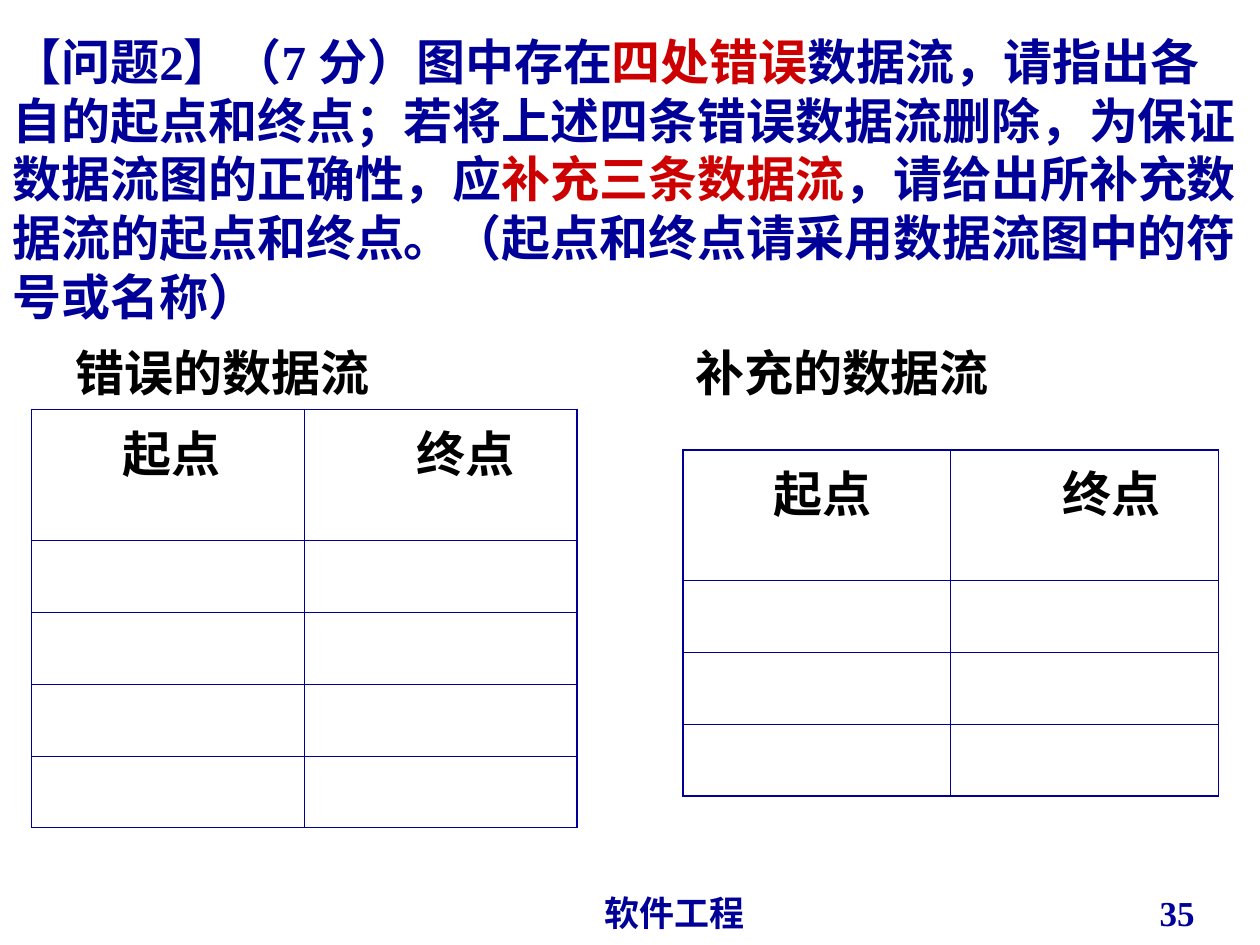
from dataclasses import dataclass
from lxml.etree import SubElement
from pptx import Presentation
from pptx.dml.color import RGBColor
from pptx.enum.text import MSO_ANCHOR as Anchor, MSO_AUTO_SIZE as AutoSize, PP_ALIGN as Align
from pptx.oxml.ns import qn
from pptx.util import Inches, Pt


@dataclass(frozen=True)
class Theme:
    """Colours, font and sizes of the slide."""
    font: str = "Times New Roman"
    navy: str = "000099"
    red: str = "CC0000"
    black: str = "000000"
    body: int = 28
    footer: int = 20
    space_before: int = 7
    outer_line: float = 1.08
    inner_line: float = 0.45


class SlideBuilder:
    """Draws styled elements on one slide."""

    def __init__(self, slide, theme):
        """Keep the slide and its theme."""
        self.slide = slide
        self.theme = theme

    def format_font(self, font, size, color):
        """Apply the theme font with a size and colour."""
        font.name = self.theme.font
        font.size = Pt(size)
        font.bold = True
        font.color.rgb = RGBColor.from_string(color)

    def title(self, left, top, width, height, pieces):
        """Place the title and fill it with coloured pieces of text."""
        shape = self.slide.shapes.title
        shape.left, shape.top = Inches(left), Inches(top)
        shape.width, shape.height = Inches(width), Inches(height)
        frame = shape.text_frame
        frame.word_wrap = True
        frame.auto_size = AutoSize.NONE
        frame.vertical_anchor = Anchor.MIDDLE
        paragraph = frame.paragraphs[0]
        paragraph.alignment = Align.LEFT
        for text, color in pieces:
            run = paragraph.add_run()
            run.text = text
            self.format_font(run.font, self.theme.body, color)

    def text(self, left, top, width, height, text, size, color,
             align=Align.LEFT, anchor=Anchor.TOP, space_before=0):
        """Add a text box with one paragraph."""
        shape = self.slide.shapes.add_textbox(
            Inches(left), Inches(top), Inches(width), Inches(height))
        frame = shape.text_frame
        frame.word_wrap = True
        frame.vertical_anchor = anchor
        paragraph = frame.paragraphs[0]
        paragraph.text = text
        paragraph.alignment = align
        paragraph.space_before = Pt(space_before)
        self.format_font(paragraph.font, size, color)

    def heading(self, left, top, width, height, text):
        """Add the heading above a table."""
        self.text(left, top, width, height, text, self.theme.body,
                  self.theme.black, space_before=self.theme.space_before)

    def footer(self, left, top, width, height, text, align):
        """Add a footer text that sits on the bottom of its box."""
        self.text(left, top, width, height, text, self.theme.footer,
                  self.theme.navy, align, Anchor.BOTTOM)

    def cell_borders(self, cell, outer_sides):
        """Draw thick borders on the outer sides and thin ones elsewhere."""
        properties = cell._tc.get_or_add_tcPr()
        for side in "LRTB":
            points = self.theme.outer_line if side in outer_sides else self.theme.inner_line
            line = SubElement(properties, qn(f"a:ln{side}"), w=str(int(Pt(points))))
            fill = SubElement(line, qn("a:solidFill"))
            SubElement(fill, qn("a:srgbClr"), val=self.theme.navy)

    def table(self, left, top, width, headers, blank_rows, header_height=1.04, row_height=0.57):
        """Add a ruled table with (text, left margin) headers and blank rows."""
        heights = [header_height] + [row_height] * blank_rows
        table = self.slide.shapes.add_table(
            len(heights), len(headers), Inches(left), Inches(top),
            Inches(width), Inches(sum(heights))).table
        table.first_row = table.horz_banding = False
        for column in table.columns:
            column.width = Inches(width / len(headers))
        for row, height in zip(table.rows, heights):
            row.height = Inches(height)
        last_row, last_column = len(heights) - 1, len(headers) - 1
        for i, row in enumerate(table.rows):
            for j, cell in enumerate(row.cells):
                edges = {"T": i == 0, "B": i == last_row, "L": j == 0, "R": j == last_column}
                self.cell_borders(cell, [side for side, outer in edges.items() if outer])
                cell.fill.background()
        for cell, (text, margin) in zip(table.rows[0].cells, headers):
            cell.margin_left = Inches(margin)
            paragraph = cell.text_frame.paragraphs[0]
            paragraph.text = text
            paragraph.space_before = Pt(self.theme.space_before)
            self.format_font(paragraph.font, self.theme.body, self.theme.black)


def main():
    """Build and save the slide."""
    presentation = Presentation()
    presentation.slide_width, presentation.slide_height = Inches(10), Inches(7.5)
    theme = Theme()
    builder = SlideBuilder(presentation.slides.add_slide(presentation.slide_layouts[5]), theme)
    builder.title(0, 0.25, 10, 2.33, [
        ("【问题2】（7 分）图中存在", theme.navy),
        ("四处错误", theme.red),
        ("数据流，请指出各自的起点和终点；若将上述四条错误数据流删除，"
         "为保证数据流图的正确性，应", theme.navy),
        ("补充三条数据流", theme.red),
        ("，请给出所补充数据流的起点和终点。"
         "（起点和终点请采用数据流图中的符号或名称）", theme.navy),
    ])
    headers = [("起点", 0.72), ("终点", 0.89)]
    builder.table(0.25, 3.25, 4.33, headers, blank_rows=4)
    builder.heading(0.5, 2.67, 3.08, 0.67, "错误的数据流")
    builder.table(5.42, 3.57, 4.25, headers, blank_rows=3)
    builder.heading(5.42, 2.67, 3, 0.67, "补充的数据流")
    builder.footer(3.77, 7.05, 3.17, 0.41, "软件工程", Align.CENTER)
    builder.footer(7.25, 6.96, 2.33, 0.5, "35", Align.RIGHT)
    presentation.save("out.pptx")


if __name__ == "__main__":
    main()
